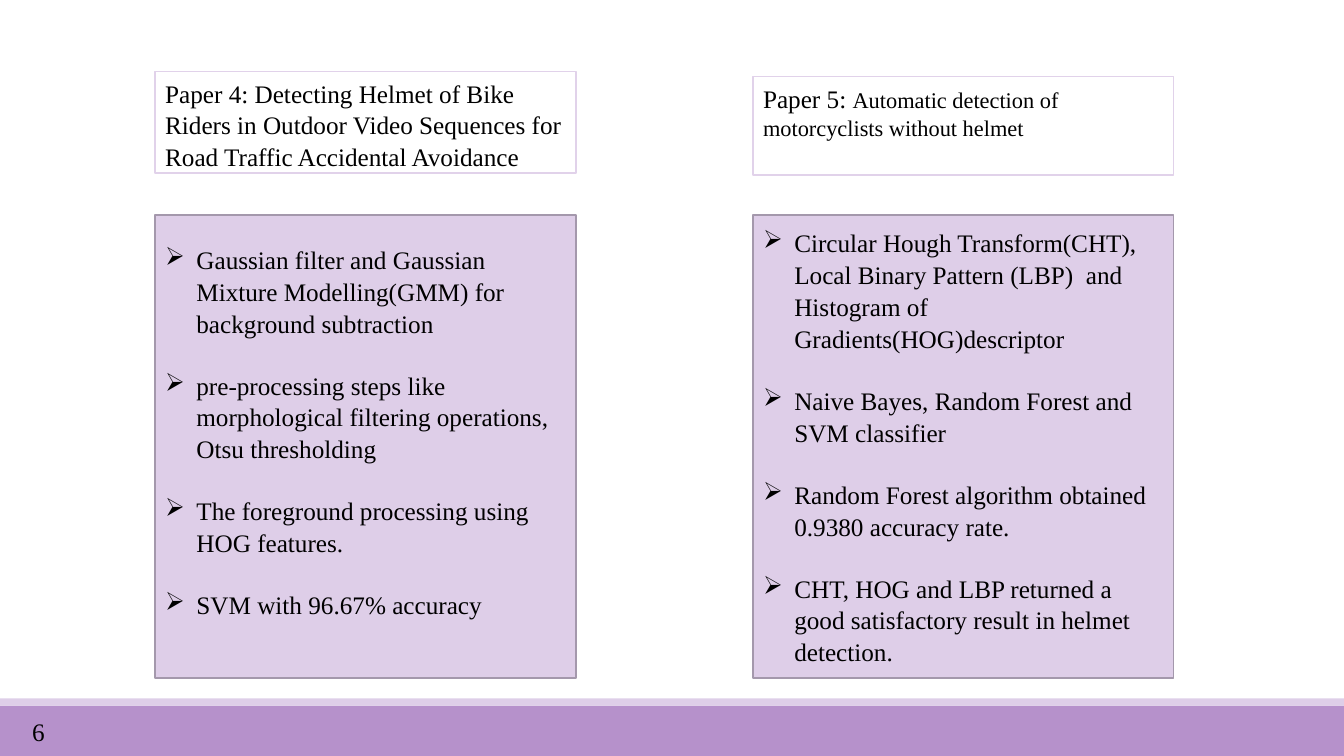
import dataclasses
import typing

import pptx
import pptx.dml.color
import pptx.enum.shapes
import pptx.enum.text
import pptx.oxml
import pptx.oxml.ns
import pptx.util

SCALE = 9144  # EMU in one px, 100 px to the inch
ANCHOR = pptx.enum.text.MSO_ANCHOR
FIT = pptx.enum.text.MSO_AUTO_SIZE


@dataclasses.dataclass(frozen=True)
class Theme:
    font: str = "Times New Roman"
    ink: str = "000000"
    paper: str = "FFFFFF"
    band: str = "B691CB"
    pale: str = "DECEE8"
    edge: str = "A498AC"
    rim: str = "E1D2EA"
    size: int = 18
    small: int = 16
    stroke: float = 1.25
    lead: float = 1.05
    gap: float = 21.7


class Box(typing.NamedTuple):
    left: int
    top: int
    width: int
    height: int


class Run(typing.NamedTuple):
    text: str
    size: int


class Paper(typing.NamedTuple):
    left: int
    top: int
    height: int
    title: list[Run]
    points: list[str]
    foot: int  # bottom inset of the body


THEME = Theme()
WIDTH, HEIGHT = 1333, 750
COLUMN, BODY_TOP, BODY_TALL = 417, 213, 460
INDENT = 31
FOOT = 5

PAPERS = [
    Paper(154, 71, 101, [
        Run("Paper 4: Detecting Helmet of Bike Riders in Outdoor Video "
            "Sequences for Road Traffic Accidental Avoidance", THEME.size),
    ], [
        "Gaussian filter and Gaussian Mixture Modelling(GMM) for "
        "background subtraction",
        "pre-processing steps like morphological filtering operations, "
        "Otsu thresholding",
        "The foreground processing using HOG features.",
        "SVM with 96.67% accuracy",
    ], FOOT + 30),
    Paper(747, 76, 98, [
        Run("Paper 5: ", THEME.size),
        Run("Automatic detection of motorcyclists without helmet",
            THEME.small),
    ], [
        "Circular Hough Transform(CHT), Local Binary Pattern (LBP)  and "
        "Histogram of Gradients(HOG)descriptor",
        "Naive Bayes, Random Forest and SVM classifier",
        "Random Forest algorithm obtained 0.9380 accuracy rate.",
        "CHT, HOG and LBP returned a good satisfactory result in helmet "
        "detection.",
    ], FOOT),
]


def px(count: int) -> pptx.util.Emu:
    return pptx.util.Emu(count * SCALE)


def color(code: str) -> pptx.dml.color.RGBColor:
    return pptx.dml.color.RGBColor.from_string(code)


def apply(target: typing.Any, values: dict[str, typing.Any]) -> None:
    for name, value in values.items():
        setattr(target, name, value)


def add_box(slide: typing.Any, box: Box, fill: str,
            line: str | None = None) -> typing.Any:
    shape = slide.shapes.add_shape(
        pptx.enum.shapes.MSO_SHAPE.RECTANGLE, *map(px, box))
    shape.shadow.inherit = False
    shape.fill.solid()
    shape.fill.fore_color.rgb = color(fill)
    if line:
        shape.line.color.rgb = color(line)
        shape.line.width = pptx.util.Pt(THEME.stroke)
    else:
        shape.line.fill.background()
    return shape


def write(para: typing.Any, runs: list[Run]) -> None:
    apply(para, {"alignment": pptx.enum.text.PP_ALIGN.LEFT,
                 "line_spacing": THEME.lead})
    for item in runs:
        run = para.add_run()
        run.text = item.text
        apply(run.font, {"name": THEME.font,
                         "size": pptx.util.Pt(item.size)})
        run.font.color.rgb = color(THEME.ink)


def add_bullet(para: typing.Any) -> None:
    """Hang the paragraph behind an arrow bullet."""
    props = para._p.get_or_add_pPr()
    props.set("marL", str(px(INDENT)))
    props.set("indent", str(-px(INDENT)))
    mark = pptx.oxml.parse_xml(
        f'<a:buChar {pptx.oxml.ns.nsdecls("a")} char="➢"/>')
    props.append(mark)


def add_paper(slide: typing.Any, paper: Paper) -> None:
    body = add_box(slide, Box(paper.left, BODY_TOP, COLUMN, BODY_TALL),
                   THEME.pale, THEME.edge)
    frame = body.text_frame
    apply(frame, {"word_wrap": True, "vertical_anchor": ANCHOR.MIDDLE,
                  "margin_bottom": px(paper.foot)})
    for rank, point in enumerate(paper.points):
        para = frame.add_paragraph() if rank else frame.paragraphs[0]
        write(para, [Run(point, THEME.size)])
        if rank:
            para.space_before = pptx.util.Pt(THEME.gap)
        add_bullet(para)

    head = add_box(slide, Box(paper.left, paper.top, COLUMN, paper.height),
                   THEME.paper, THEME.rim)
    apply(head.text_frame, {"word_wrap": True,
                            "vertical_anchor": ANCHOR.TOP})
    write(head.text_frame.paragraphs[0], paper.title)


def add_number(slide: typing.Any, text: str) -> None:
    label = slide.shapes.add_textbox(*map(px, Box(22, 704, 33, 40)))
    apply(label.text_frame, {"word_wrap": False,
                             "auto_size": FIT.SHAPE_TO_FIT_TEXT})
    write(label.text_frame.paragraphs[0], [Run(text, THEME.size)])


def main() -> None:
    deck = pptx.Presentation()
    apply(deck, {"slide_width": px(WIDTH), "slide_height": px(HEIGHT)})
    slide = deck.slides.add_slide(deck.slide_layouts[6])
    add_box(slide, Box(0, 700, WIDTH, 50), THEME.band)
    add_box(slide, Box(0, 693, WIDTH, 7), THEME.pale)
    for paper in PAPERS:
        add_paper(slide, paper)
    add_number(slide, "6")
    deck.save("out.pptx")


if __name__ == "__main__":
    main()
